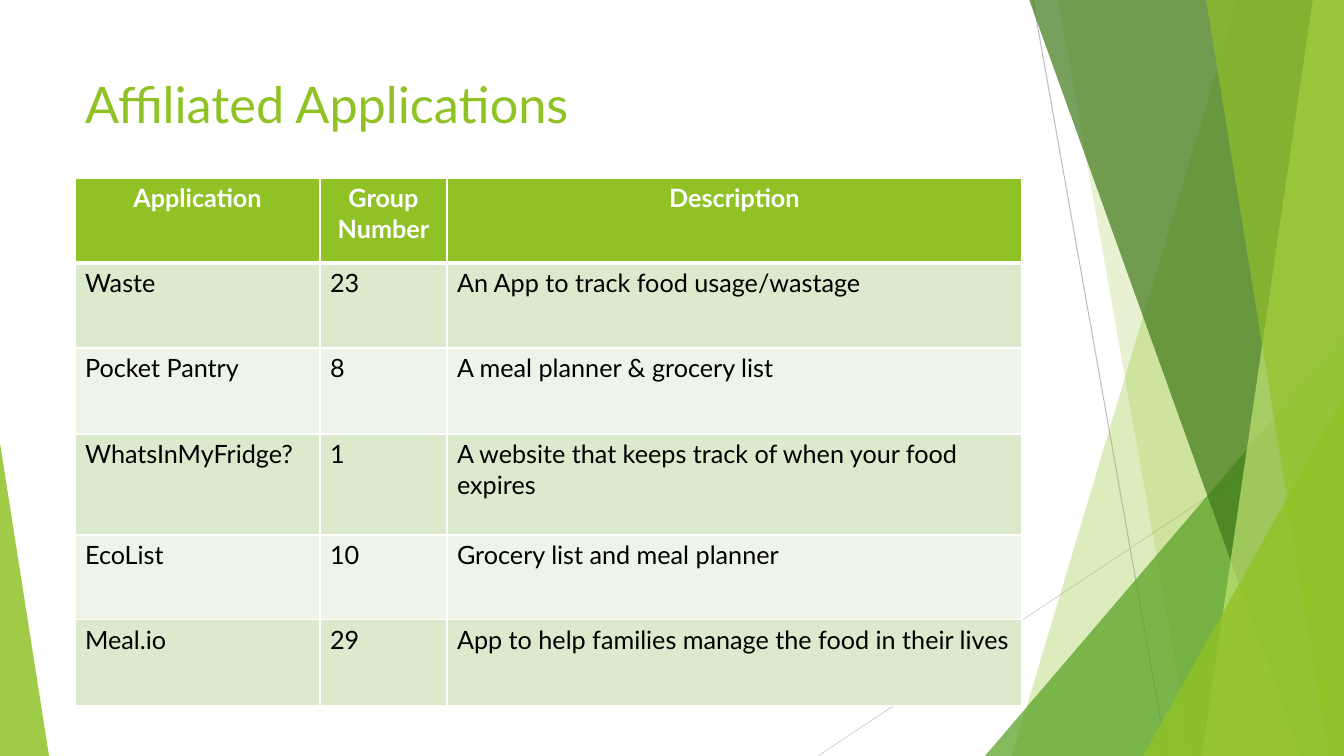
from dataclasses import dataclass

import lxml.etree
import pptx
import pptx.dml.color
import pptx.enum.shapes
import pptx.enum.text
import pptx.oxml.ns
import pptx.util

WIDTH, HEIGHT = 1344, 756
EMU_PER_PIXEL = 12192000 / WIDTH
FONT = "Lato"
GREEN, WHITE, BLACK = "90C226", "FFFFFF", "000000"
ROW_TINTS = ("DBE9CD", "EEF4E8")


@dataclass
class Ray:
    start: tuple[int, int]
    end: tuple[int, int]
    color: str


@dataclass
class Band:
    """Facet from a slanted left edge to the right side of the slide."""
    top_x: int
    bottom_x: int
    color: str
    opacity: int


@dataclass
class Corner:
    """Triangle standing on the bottom edge, with its peak at one side."""
    left: int
    top: int
    width: int
    peak: int
    color: str
    opacity: int


RAYS = [
    Ray((1033, 0), (1167, HEIGHT), "BFBFBF"),
    Ray((WIDTH, 406), (818, HEIGHT), "D9D9D9"),
]
FACETS = [
    Band(1238, 1012, GREEN, 30),
    Band(1058, 1192, GREEN, 20),
    Corner(985, 336, 359, 1, "54A021", 72),
    Band(1029, 1301, "3F7819", 70),
    Band(1313, 1202, "C0E474", 70),
    Band(1206, 1329, GREEN, 65),
    Corner(1143, 396, 201, 1, GREEN, 80),
    Corner(0, 443, 49, 0, GREEN, 85),
]
HEADINGS = ("Application", "Group Number", "Description")
APPLICATIONS = [
    ("Waste", "23", "An App to track food usage/wastage"),
    ("Pocket Pantry", "8", "A meal planner & grocery list"),
    ("WhatsInMyFridge?", "1", "A website that keeps track of when your food expires"),
    ("EcoList", "10", "Grocery list and meal planner"),
    ("Meal.io", "29", "App to help families manage the food in their lives"),
]
COLUMN_WIDTHS = (245, 127, 575)
ROW_HEIGHTS = (85, 85, 86, 101, 85, 86)


def px(pixels: int) -> pptx.util.Emu:
    return pptx.util.Emu(round(pixels * EMU_PER_PIXEL))


def rgb(color: str) -> pptx.dml.color.RGBColor:
    return pptx.dml.color.RGBColor.from_string(color)


def sub(parent, tag: str, **attributes: str):
    return lxml.etree.SubElement(parent, pptx.oxml.ns.qn(tag), attributes)


def add_run(paragraph, text: str, size: int, color: str, bold: bool = False) -> None:
    run = paragraph.add_run()
    run.text = text
    run.font.name = FONT
    run.font.size = pptx.util.Pt(size)
    run.font.bold = bold
    run.font.color.rgb = rgb(color)


def draw_ray(shapes, ray: Ray) -> None:
    line = shapes.add_connector(
        pptx.enum.shapes.MSO_CONNECTOR.STRAIGHT, *map(px, ray.start + ray.end))
    line.line.color.rgb = rgb(ray.color)
    line.line.width = pptx.util.Pt(0.75)
    sub(line._element.spPr, "a:effectLst")


def draw_facet(shapes, facet: Band | Corner) -> None:
    if isinstance(facet, Band):
        outline = shapes.build_freeform(facet.top_x, -1, EMU_PER_PIXEL)
        outline.add_line_segments(
            [(WIDTH, -1), (WIDTH, HEIGHT), (facet.bottom_x, HEIGHT)])
        shape = outline.convert_to_shape()
    else:
        shape = shapes.add_shape(
            pptx.enum.shapes.MSO_SHAPE.ISOSCELES_TRIANGLE, px(facet.left),
            px(facet.top), px(facet.width), px(HEIGHT - facet.top))
        shape.adjustments[0] = facet.peak
    shape.shadow.inherit = False
    shape.line.fill.background()
    shape.fill.solid()
    shape.fill.fore_color.rgb = rgb(facet.color)
    color = shape._element.spPr.find(".//" + pptx.oxml.ns.qn("a:srgbClr"))
    sub(color, "a:alpha", val=str(facet.opacity * 1000))


def set_borders(cell, top: int, bottom: int) -> None:
    properties = cell._tc.get_or_add_tcPr()
    for side, points in (("L", 1), ("R", 1), ("T", top), ("B", bottom)):
        border = sub(properties, f"a:ln{side}", w=str(pptx.util.Pt(points)))
        sub(sub(border, "a:solidFill"), "a:srgbClr", val=WHITE)


def fill_cell(cell, text: str, row: int) -> None:
    heading = row == 0
    set_borders(cell, 3 if row == 1 else 1, 3 if heading else 1)
    cell.fill.solid()
    cell.fill.fore_color.rgb = rgb(GREEN if heading else ROW_TINTS[(row - 1) % 2])
    paragraph = cell.text_frame.paragraphs[0]
    if heading:
        paragraph.alignment = pptx.enum.text.PP_ALIGN.CENTER
    add_run(paragraph, text, 18, WHITE if heading else BLACK, heading)


def draw_applications(shapes) -> None:
    rows = [HEADINGS, *APPLICATIONS]
    table = shapes.add_table(
        len(rows), len(HEADINGS), px(75), px(178),
        px(sum(COLUMN_WIDTHS)), px(sum(ROW_HEIGHTS))).table
    table.horz_banding = False
    for column, width in zip(table.columns, COLUMN_WIDTHS):
        column.width = px(width)
    for r, (texts, height) in enumerate(zip(rows, ROW_HEIGHTS)):
        table.rows[r].height = px(height)
        for c, text in enumerate(texts):
            fill_cell(table.cell(r, c), text, r)


def draw_title(title) -> None:
    title.left, title.top, title.width, title.height = map(px, (75, 68, 947, 145))
    frame = title.text_frame
    frame.word_wrap = True
    frame.auto_size = pptx.enum.text.MSO_AUTO_SIZE.NONE
    frame.vertical_anchor = pptx.enum.text.MSO_ANCHOR.TOP
    paragraph = frame.paragraphs[0]
    paragraph.alignment = pptx.enum.text.PP_ALIGN.LEFT
    add_run(paragraph, "Affiliated Applications", 36, GREEN)


deck = pptx.Presentation()
deck.slide_width, deck.slide_height = px(WIDTH), px(HEIGHT)
slide = deck.slides.add_slide(deck.slide_layouts.get_by_name("Title Only"))
slide.background.fill.solid()
slide.background.fill.fore_color.rgb = rgb(WHITE)

# Faceted backdrop
for ray in RAYS:
    draw_ray(slide.shapes, ray)
for facet in FACETS:
    draw_facet(slide.shapes, facet)

# Title and table of applications
draw_title(slide.shapes.title)
draw_applications(slide.shapes)

deck.save("out.pptx")
